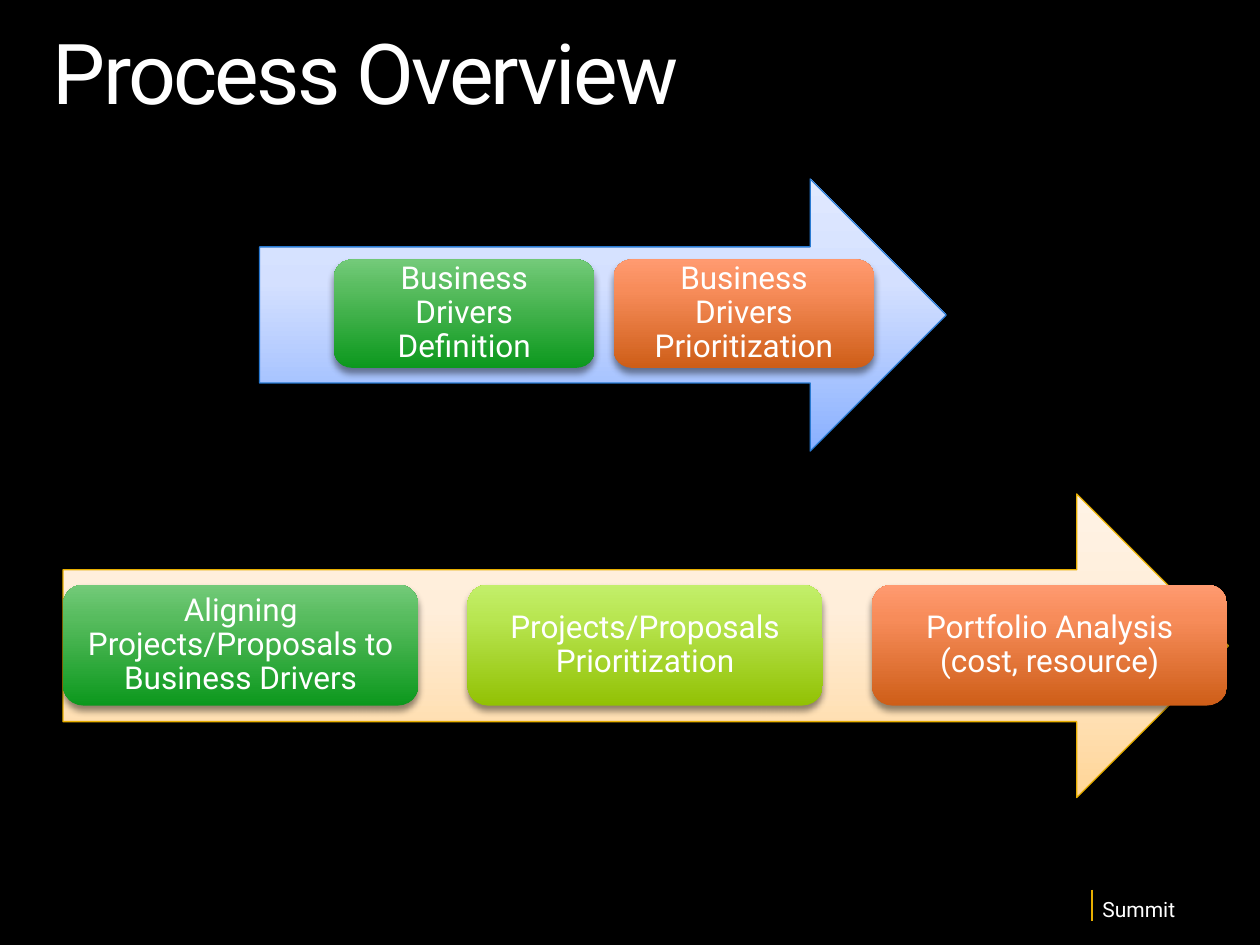
from pptx import Presentation
from pptx import util as u
from pptx.dml.color import RGBColor
from pptx.enum import shapes, text
from pptx.oxml import parse_xml
from pptx.oxml.ns import nsdecls, qn
from copy import deepcopy

FONT = "Roboto"
WHITE, BLACK, BLUE, GOLD = "FFFFFF", "000000", "297AD2", "E7AE00"

# Gradients run from the bottom edge to the top: (position, colour)
BLUE_TINT = [(0, "89B0FF"), (0.62, "D4E0FF"), (1, "E0E9FF")]
GOLD_TINT = [(0, "FFD597"), (0.62, "FFEEDA"), (1, "FFF3E5")]
GREEN = [(0, "0C981D"), (0.72, "57BC5E"), (1, "73CA79")]
LIME = [(0, "92C104"), (0.72, "B8E651"), (1, "C3EF6B")]
ORANGE = [(0, "CE5E18"), (0.72, "F78C5A"), (1, "FF9A70")]


def colour(hex_string):
    return RGBColor.from_string(hex_string)


def apply(target, values):
    for name, value in values.items():
        setattr(target, name, value)


class SlideBuilder:
    def __init__(self, slide):
        self.slide = slide
        self.font = {"name": FONT, "bold": False}

    def background(self, hex_string):
        fill = self.slide.background.fill
        fill.solid()
        fill.fore_color.rgb = colour(hex_string)

    def add_words(self, shape, words, size, inset=0, spacing=None, **frame_format):
        frame = shape.text_frame
        margins = ("margin_left", "margin_top", "margin_right", "margin_bottom")
        apply(frame, dict.fromkeys(margins, u.Inches(inset)))
        apply(frame, {"word_wrap": True, **frame_format})
        paragraph = frame.paragraphs[0]
        centred = frame_format.get("vertical_anchor") == text.MSO_ANCHOR.MIDDLE
        alignment = text.PP_ALIGN.CENTER if centred else text.PP_ALIGN.LEFT
        apply(paragraph, {"line_spacing": 0.9, "alignment": alignment})
        run = paragraph.add_run()
        run.text = words
        apply(run.font, {**self.font, "size": u.Pt(size)})
        run.font.color.rgb = colour(WHITE)
        if spacing is not None:
            run.font._element.set("spc", str(int(spacing * 100)))

    def label(self, words, box, size, spacing=None):
        shape = self.slide.shapes.add_textbox(*map(u.Inches, box))
        self.add_words(shape, words, size, spacing=spacing,
                       auto_size=text.MSO_AUTO_SIZE.SHAPE_TO_FIT_TEXT)

    def line(self, start, end, hex_string, width):
        connector = self.slide.shapes.add_connector(
            shapes.MSO_CONNECTOR.STRAIGHT, *map(u.Inches, start + end))
        connector.line.color.rgb = colour(hex_string)
        connector.line.width = u.Pt(width)
        connector._element.spPr.append(
            parse_xml(f"<a:effectLst {nsdecls('a')}/>"))

    def gradient(self, shape, stops):
        shape.fill.gradient()
        stop_list = shape._element.spPr.find(".//" + qn("a:gsLst"))
        stop_list.append(deepcopy(stop_list[-1]))
        shape.fill.gradient_angle = 90
        for stop, (position, hex_string) in zip(shape.fill.gradient_stops, stops):
            stop.position = position
            stop.color.rgb = colour(hex_string)

    def shadow(self, shape):
        shape.shadow.inherit = False
        shape._element.spPr.find(qn("a:effectLst")).append(parse_xml(
            f'<a:outerShdw {nsdecls("a")} blurRad="{u.Pt(4)}" dist="{u.Pt(3)}" '
            f'dir="5400000" rotWithShape="0"><a:srgbClr val="{BLACK}">'
            '<a:alpha val="43000"/></a:srgbClr></a:outerShdw>'))

    def block(self, kind, box, stops):
        shape = self.slide.shapes.add_shape(kind, *map(u.Inches, box))
        self.gradient(shape, stops)
        shape.line.fill.background()
        self.shadow(shape)
        return shape

    def arrow(self, box, stops, outline):
        shape = self.block(shapes.MSO_SHAPE.RIGHT_ARROW, box, stops)
        shape.line.color.rgb = colour(outline)
        shape.line.width = u.Pt(0.75)

    def steps(self, first_box, pitch, steps):
        left, top, width, height = first_box
        for index, (words, stops) in enumerate(steps):
            box = (left + index * pitch, top, width, height)
            shape = self.block(shapes.MSO_SHAPE.ROUNDED_RECTANGLE, box, stops)
            self.add_words(shape, words, 18, inset=0.07,
                           vertical_anchor=text.MSO_ANCHOR.MIDDLE)


def main():
    presentation = Presentation()
    apply(presentation, {"slide_width": u.Inches(10), "slide_height": u.Inches(7.5)})
    builder = SlideBuilder(presentation.slides.add_slide(presentation.slide_layouts[6]))
    builder.background(BLACK)

    # Footer
    builder.label("Summit", (8.75, 7.14, 0.83, 0.18), 12)
    builder.line((8.67, 7.06), (8.67, 7.31), GOLD, 1.25)

    # Title
    builder.label("Process Overview", (0.42, 0.25, 9.17, 0.73), 48, spacing=-1.5)

    # Business drivers process
    builder.arrow((2.06, 1.42, 5.45, 2.16), BLUE_TINT, BLUE)
    builder.steps((2.65, 2.06, 2.07, 0.86), 2.22, [
        ("Business Drivers Definition", GREEN),
        ("Business Drivers Prioritization", ORANGE),
    ])

    # Projects and proposals process
    builder.arrow((0.5, 3.92, 9.25, 2.41), GOLD_TINT, GOLD)
    builder.steps((0.5, 4.64, 2.82, 0.96), 3.21, [
        ("Aligning Projects/Proposals to Business Drivers", GREEN),
        ("Projects/Proposals Prioritization", LIME),
        ("Portfolio Analysis (cost, resource)", ORANGE),
    ])

    presentation.save("out.pptx")


if __name__ == "__main__":
    main()
